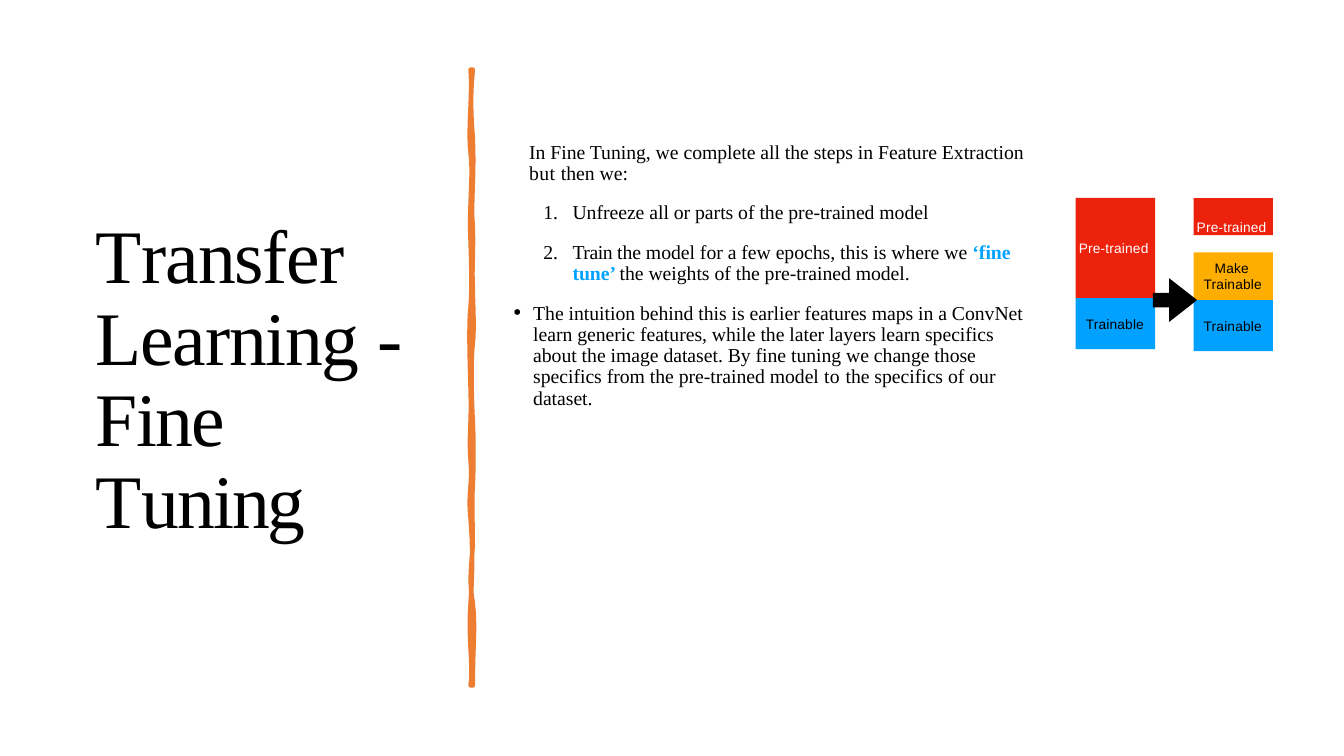
from lxml import etree
from pptx import Presentation
from pptx.dml.color import RGBColor
from pptx.enum import shapes, text
from pptx.oxml.ns import qn
from pptx.util import Pt

COLORS = {"black": "000000", "white": "FFFFFF", "stroke": "ED7D31", "red": "ED220D",
          "blue": "00A1FF", "amber": "FEAE00", "highlight": "00A2FF"}
SERIF, SANS = "Times New Roman", "Arial"


def color(name):
    """Return the named colour."""
    return RGBColor.from_string(COLORS[name])


def set_text(paragraph, runs, font, size, color_name, left=0, indent=0):
    """Fill a paragraph with (text, letter spacing) runs, and set its font and indents."""
    paragraph.alignment = text.PP_ALIGN.LEFT
    paragraph.font.name, paragraph.font.size = font, Pt(size)
    paragraph.font.color.rgb = color(color_name)
    properties = paragraph._p.get_or_add_pPr()
    properties.set("marL", str(Pt(left)))
    properties.set("indent", str(Pt(indent)))
    for words, spacing in runs:
        run = paragraph.add_run()
        run.text = words
        if spacing:
            run.font._element.set("spc", str(round(spacing * 100)))


presentation = Presentation()
presentation.slide_width, presentation.slide_height = Pt(960), Pt(540)
slide = presentation.slides.add_slide(presentation.slide_layouts[5])

# Title
title = slide.shapes.title
title.left, title.top, title.width, title.height = Pt(49.7), Pt(50.4), Pt(269.3), Pt(440)
frame = title.text_frame
frame.word_wrap, frame.auto_size = True, text.MSO_AUTO_SIZE.NONE
frame.vertical_anchor = text.MSO_ANCHOR.MIDDLE
frame.margin_left, frame.margin_right = 0, Pt(20)
frame.margin_top, frame.margin_bottom = Pt(4.3), 0
set_text(frame.paragraphs[0],
         [("T", -4.8), ("ransfer Learning ", -0.9), ("- ", 3.1), ("Fine ", -1.1),
          ("T", -5.5), ("uning", -1.5)], SERIF, 54, "black", 18.7)
frame.paragraphs[0].line_spacing = 0.9

# Brush stroke: each curve is two control points and an end, as (offset from edge, y)
TOP, BOTTOM = 49.7, 489.6
left_edge = [
    ((1.5, 67.7), (-2.1, 93.6), (0, 109.4)), ((2.2, 124.6), (-1.4, 147.6), (0, 172.8)),
    ((0.8, 198.7), (0.8, 207.4), (0, 218.9)), ((-1.4, 231.1), (-0.7, 254.2), (0, 278.6)),
    ((0.8, 303.1), (-1.4, 311.8), (0, 329)), ((1.5, 347), (-2.1, 352.1), (0, 370.8)),
    ((1.5, 389.5), (1.5, 404.6), (0, 430.6)), ((-2.1, 455.8), (2.2, 475.2), (0, BOTTOM))]
right_edge = [
    ((0, 463), (2.1, 447.8), (0, 430.6)), ((-2.9, 413.3), (-0.7, 404.6), (0, 388.8)),
    ((0, 373.7), (-0.7, 358.6), (0, 347)), ((0.7, 335.5), (0.7, 311.8), (0, 300.2)),
    ((-0.7, 289.4), (-1.5, 257), (0, 245.5)), ((1.4, 234), (0, 216), (0, 203.8)),
    ((-0.7, 191.5), (0.7, 180), (0, 162)), ((-1.5, 144), (1.4, 124.6), (0, 97.9)),
    ((-2.2, 72), (-0.7, 59.8), (0, TOP))]
STEPS = 8
outline = []
for edge_x, start_y, curves in [(336.2, TOP, left_edge), (337.7, BOTTOM, right_edge)]:
    start = (0, start_y)
    outline.append((edge_x, start_y))
    for first, second, end in curves:
        for step in range(1, STEPS + 1):
            t = step / STEPS
            x, y = [(1 - t) ** 3 * a + 3 * t * (1 - t) ** 2 * b + 3 * t * t * (1 - t) * c
                    + t ** 3 * d for a, b, c, d in zip(start, first, second, end)]
            outline.append((edge_x + x, y))
        start = end
points = [(Pt(x), Pt(y)) for x, y in outline]
builder = slide.shapes.build_freeform(*points[0])
builder.add_line_segments(points[1:])
stroke = builder.convert_to_shape()
stroke.shadow.inherit = False
stroke.fill.solid()
stroke.fill.fore_color.rgb = stroke.line.color.rgb = color("stroke")
stroke.line.width = Pt(3.25)
etree.SubElement(stroke.line._get_or_add_ln(), qn("a:round"))

# Explanation: runs, left margin, indent, line spacing, space before, bullet
body = [
    ([("In Fine Tuning, we complete all the steps in Feature Extraction ", 0),
      ("but ", 0.3), ("then we:", 0)], 11.5, 0, Pt(15.1), 2.4, None),
    ([("Unfreeze all or parts of the pre-trained model", 0)],
     42.5, -20.9, 1.0, 11.2, "number"),
    ([("Train ", -0.3), ("the model for a few epochs, this is where we ", 0),
      ("‘fine tune’ ", 0), ("the weights of the pre-trained model.", 0)],
     42.5, -20.9, 0.9, 13.1, "number"),
    ([("The intuition behind this is earlier features maps in a ConvNet learn generic "
       "features, while the later layers learn specifics about the image dataset. By fine "
       "tuning we change those specifics from the pre-trained model ", 0), ("to ", 0.3),
      ("the specifics of our dataset.", 0)], 14.4, -14.4, Pt(15.1), 13.4, "dot")]
frame = slide.shapes.add_textbox(Pt(366.5), Pt(97.9), Pt(374.4), Pt(195.1)).text_frame
frame.word_wrap = True
frame.margin_left = frame.margin_right = frame.margin_bottom = 0
frame.margin_top = Pt(3.6)
for index, (runs, left, indent, line_spacing, space_before, bullet) in enumerate(body):
    paragraph = frame.add_paragraph() if index else frame.paragraphs[0]
    set_text(paragraph, runs, SERIF, 14.1, "black", left, indent)
    paragraph.line_spacing, paragraph.space_before = line_spacing, Pt(space_before)
    properties = paragraph._p.get_or_add_pPr()
    marks = {"number": [("a:buFont", {"typeface": "+mj-lt"}),
                        ("a:buAutoNum", {"type": "arabicPeriod"})],
             "dot": [("a:buSzPct", {"val": "123000"}), ("a:buFont", {"typeface": SERIF}),
                     ("a:buChar", {"char": "•"})]}.get(bullet, [])
    for position, (tag, attributes) in enumerate(marks):
        mark = etree.Element(qn(tag), attributes)
        properties.insert(len(properties) - 1, mark)
highlight = frame.paragraphs[2].runs[2].font
highlight.bold = True
highlight.color.rgb = color("highlight")

# Layer blocks before and after fine tuning
BEFORE_X, AFTER_X, BLOCK_WIDTH = 768.4, 852.6, 56.7
MIDDLE, LOW = text.MSO_ANCHOR.MIDDLE, text.MSO_ANCHOR.BOTTOM
blocks = [
    (BEFORE_X, 141.3, 71.7, "red", "Pre-trained", "white", 2.2, 0, MIDDLE),
    (BEFORE_X, 213, 36.4, "blue", "Trainable", "black", 7.2, 0, MIDDLE),
    (AFTER_X, 141.6, 26.4, "red", "Pre-trained", "white", 2.2, 0, LOW),
    (AFTER_X, 180.2, 34.2, "amber", "Make Trainable", "black", 7.2, 7.9, MIDDLE),
    (AFTER_X, 214.4, 36.4, "blue", "Trainable", "black", 7.2, 0, MIDDLE)]
for x, y, height, fill, label, ink, left, indent, anchor in blocks:
    block = slide.shapes.add_shape(shapes.MSO_SHAPE.RECTANGLE,
                                   Pt(x), Pt(y), Pt(BLOCK_WIDTH), Pt(height))
    block.shadow.inherit = False
    block.fill.solid()
    block.fill.fore_color.rgb = color(fill)
    block.line.fill.background()
    frame = block.text_frame
    frame.word_wrap, frame.vertical_anchor = True, anchor
    frame.margin_left = frame.margin_right = frame.margin_top = frame.margin_bottom = 0
    set_text(frame.paragraphs[0], [(label, 0.1)], SANS, 9.8, ink, left, indent)

arrow = slide.shapes.add_shape(shapes.MSO_SHAPE.RIGHT_ARROW,
                               Pt(823.5), Pt(198.7), Pt(31.6), Pt(31.3))
arrow.adjustments[0], arrow.adjustments[1] = 0.33, 0.64
arrow.shadow.inherit = False
arrow.fill.solid()
arrow.fill.fore_color.rgb = color("black")
arrow.line.fill.background()

presentation.save("out.pptx")
